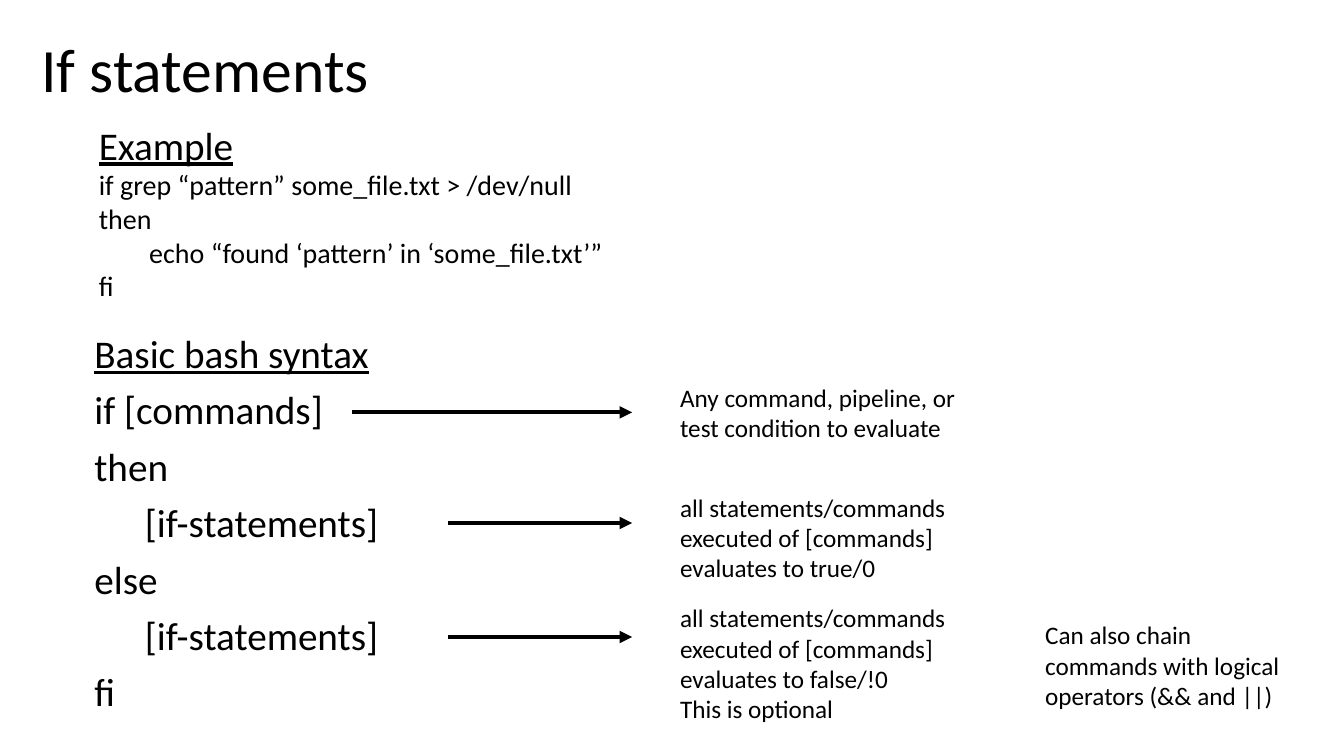
from lxml.etree import SubElement
from pptx import Presentation
from pptx.dml.color import RGBColor
from pptx.enum.shapes import MSO_CONNECTOR
from pptx.enum.text import MSO_ANCHOR, PP_ALIGN
from pptx.oxml.ns import qn
from pptx.util import Cm, Pt

BLACK = RGBColor(0x00, 0x00, 0x00)
FONT = "Calibri"
NOTE_LEFT, NOTE_WIDTH = 16.89, 7.85
ARROW_END = 15.93


def add_line(frame, index, text, size, underline=False, spacing=1.0, before=0):
    paragraph = frame.paragraphs[0] if index == 0 else frame.add_paragraph()
    paragraph.alignment = PP_ALIGN.LEFT
    paragraph.line_spacing = spacing
    paragraph.space_before = Pt(before)
    run = paragraph.add_run()
    run.text = text
    run.font.name = FONT
    run.font.size = Pt(size)
    run.font.color.rgb = BLACK
    run.font.underline = underline


def add_frame(slide, box):
    frame = slide.shapes.add_textbox(*map(Cm, box)).text_frame
    frame.word_wrap = True
    return frame


def add_title(slide, box, text):
    title = slide.shapes.title
    title.left, title.top, title.width, title.height = map(Cm, box)
    title.text_frame.vertical_anchor = MSO_ANCHOR.MIDDLE
    add_line(title.text_frame, 0, text, 44, spacing=0.9)


def add_code(slide, box, heading, lines, size, spacing=1.0, before=0):
    frame = add_frame(slide, box)
    add_line(frame, 0, heading, 28, True, spacing, before)
    for index, line in enumerate(lines, 1):
        add_line(frame, index, line, size, False, spacing, before)


def add_note(slide, box, lines):
    frame = add_frame(slide, box)
    for index, line in enumerate(lines):
        add_line(frame, index, line, 18)


def add_arrow(slide, start, end, y):
    arrow = slide.shapes.add_connector(
        MSO_CONNECTOR.STRAIGHT, Cm(start), Cm(y), Cm(end), Cm(y))
    arrow.line.color.rgb = BLACK
    arrow.line.width = Pt(3)
    SubElement(arrow.line._get_or_add_ln(), qn("a:tailEnd"), type="triangle")
    SubElement(arrow._element.spPr, qn("a:effectLst"))


def add_explanation(slide, arrow_start, arrow_y, top, height, lines):
    add_arrow(slide, arrow_start, ARROW_END, arrow_y)
    add_note(slide, (NOTE_LEFT, top, NOTE_WIDTH, height), lines)


presentation = Presentation()
presentation.slide_width, presentation.slide_height = Cm(33.87), Cm(19.05)
slide = presentation.slides.add_slide(presentation.slide_layouts[5])

add_title(slide, (0.79, 0, 10, 3.68), "If statements")
add_code(slide, (2.24, 2.92, 19.02, 5.2), "Example", [
    "if grep “pattern” some_file.txt > /dev/null",
    "then",
    "\techo “found ‘pattern’ in ‘some_file.txt’”",
    "fi",
], 20)
add_code(slide, (2.13, 8.31, 10, 10.2), "Basic bash syntax", [
    "if [commands]",
    "then",
    "\t[if-statements]",
    "else",
    "\t[if-statements]",
    "fi",
], 28, spacing=0.9, before=10)

EXPLANATIONS = [
    (8.86, 10.39, 9.5, 1.8,
     ["Any command, pipeline, or test condition to evaluate"]),
    (11.3, 13.18, 12.27, 2.57,
     ["all statements/commands executed of [commands] evaluates to true/0"]),
    (11.3, 16.05, 15.06, 3.33,
     ["all statements/commands executed of [commands] evaluates to false/!0",
      "This is optional"]),
]
for explanation in EXPLANATIONS:
    add_explanation(slide, *explanation)

add_note(slide, (26.09, 15.49, 7.09, 2.57),
         ["Can also chain commands with logical operators (&& and ||)"])

presentation.save("out.pptx")
